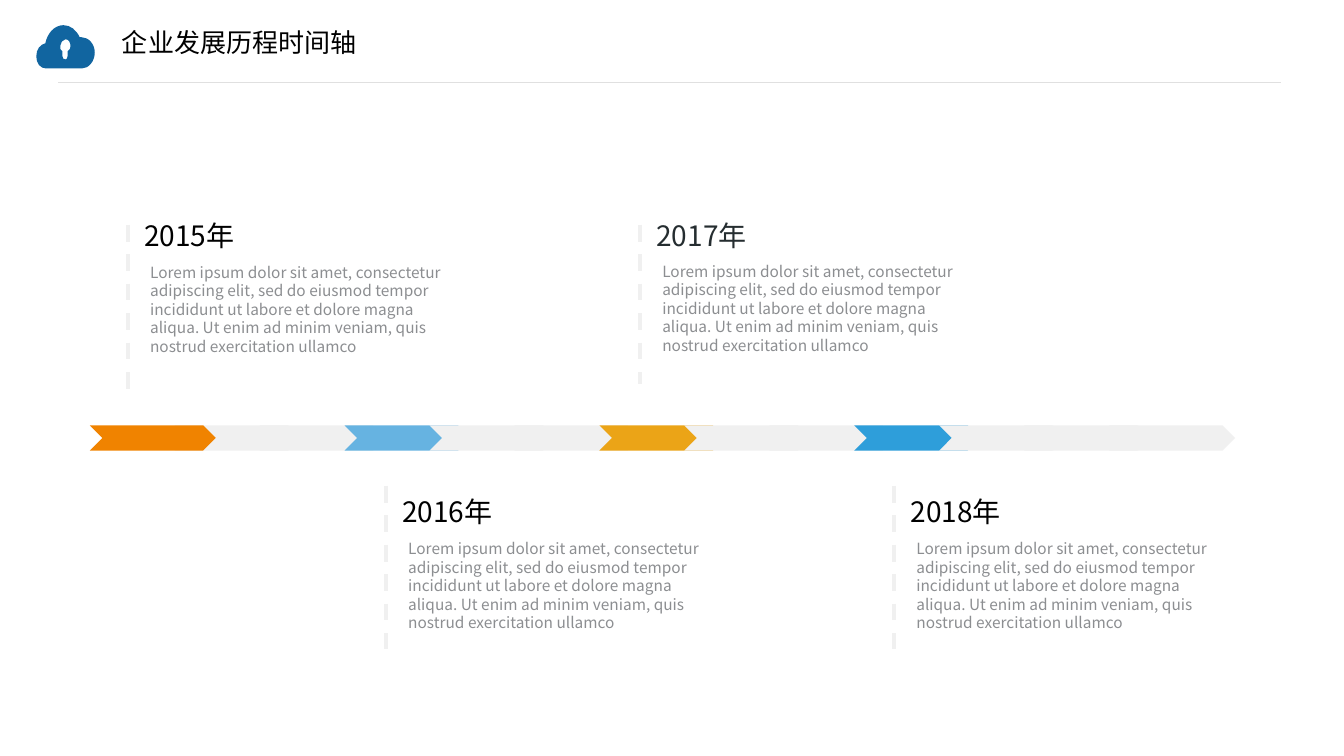
from pptx import Presentation
from pptx.dml.color import RGBColor
from pptx.enum.dml import MSO_LINE
from pptx.enum.shapes import MSO_CONNECTOR, MSO_SHAPE
from pptx.enum.text import MSO_ANCHOR, PP_ALIGN
from pptx.oxml.ns import qn
from pptx.util import Inches, Pt

STRAIGHT = MSO_CONNECTOR.STRAIGHT
CHEVRON = MSO_SHAPE.CHEVRON
DASH = MSO_LINE.DASH
MIDDLE, TOP = MSO_ANCHOR.MIDDLE, MSO_ANCHOR.TOP
LEFT = PP_ALIGN.LEFT

BLACK = RGBColor(0x00, 0x00, 0x00)
CHARCOAL = RGBColor(0x25, 0x2D, 0x30)
GREY = RGBColor(0x8C, 0x8E, 0x91)
RULE_GREY = RGBColor(0xE0, 0xE0, 0xE0)
PALE = RGBColor(0xF0, 0xF0, 0xF0)
NAVY = RGBColor(0x11, 0x65, 0xA0)
ORANGE = RGBColor(0xF0, 0x83, 0x00)
LIGHT_BLUE = RGBColor(0x66, 0xB3, 0xE1)
GOLD = RGBColor(0xEB, 0xA4, 0x17)
BLUE = RGBColor(0x2E, 0x9E, 0xDA)

FONT = "Noto Sans CJK SC"
LOREM = ("Lorem ipsum dolor sit amet, consectetur adipiscing elit, sed do eiusmod "
         "tempor incididunt ut labore et dolore magna aliqua. Ut enim ad minim "
         "veniam, quis nostrud exercitation ullamco")


def write_text(box, place, text, size, color, inset, anchor=TOP):
    """Place a text shape and fill it with one formatted paragraph."""
    box.left, box.top, box.width, box.height = map(Inches, place)
    frame = box.text_frame
    margins = zip(("margin_left", "margin_top", "margin_right", "margin_bottom"), inset)
    formats = {"word_wrap": True, "vertical_anchor": anchor}
    formats.update((name, Inches(value)) for name, value in margins)
    for name, value in formats.items():
        setattr(frame, name, value)
    para = frame.paragraphs[0]
    para.alignment = LEFT
    span = para.add_run()
    span.text = text
    span.font.name = FONT
    span.font.size = Pt(size)
    span.font.color.rgb = color
    east_asian = span.font._element.makeelement(qn("a:ea"), {"typeface": FONT})
    span.font._element.find(qn("a:latin")).addnext(east_asian)


def draw_line(start, end, color, width):
    line = page.shapes.add_connector(STRAIGHT, *map(Inches, start + end))
    line.line.color.rgb = color
    line.line.width = Pt(width)
    properties = line._element.spPr
    properties.append(properties.makeelement(qn("a:effectLst"), {}))
    return line


deck = Presentation()
deck.slide_width, deck.slide_height = Inches(13.33), Inches(7.5)
page = deck.slides.add_slide(deck.slide_layouts[5])

# Header
draw_line((0.58, 0.82), (12.71, 0.82), RULE_GREY, 0.75)
write_text(page.shapes.title, (1.21, 0.16, 8.89, 0.52), "企业发展历程时间轴",
           18.6, BLACK, (0, 0, 0, 0), MIDDLE)

# Cloud with a keyhole, in hundredths of an inch: a start point, then
# Bézier curves of three points or straight sides of one point.
cloud_start, cloud = (81, 37), [
    [(80, 37), (80, 37), (79, 37)],
    [(76, 30), (70, 25), (63, 25)],
    [(54, 25), (47, 33), (45, 43)],
    [(40, 44), (36, 49), (36, 56)],
    [(36, 63), (40, 68), (46, 68)],
    [(81, 68)],
    [(88, 68), (94, 61), (94, 52)],
    [(94, 44), (88, 37), (81, 37)]]
keyhole_start, keyhole = (67, 51), [
    [(67, 56)],
    [(67, 58), (66, 59), (65, 59)],
    [(63, 59), (62, 58), (62, 56)],
    [(62, 51)],
    [(60, 50), (59, 48), (60, 45)],
    [(60, 42), (62, 40), (65, 39)],
    [(68, 39), (70, 42), (70, 46)],
    [(70, 48), (69, 50), (67, 51)]]
builder = page.shapes.build_freeform(*cloud_start, scale=Inches(0.01))
builder.add_line_segments(sum(cloud, []), close=True)
builder.move_to(*keyhole_start)
builder.add_line_segments(sum(keyhole, []), close=True)
icon = builder.convert_to_shape()

# Gather each three points into one curve
sides = iter(list(icon._element.iter(qn("a:lnTo"))))
for curve in cloud + keyhole:
    parts = [next(sides) for point in curve]
    if len(parts) == 3:
        bezier = parts[0].makeelement(qn("a:cubicBezTo"), {})
        parts[0].addprevious(bezier)
        for part in parts:
            bezier.append(part[0])
            part.getparent().remove(part)
icon.shadow.inherit = False
icon.fill.solid()
icon.fill.fore_color.rgb = NAVY
icon.line.fill.background()

# Arrow band: the first chevron lies on top of the rest
CHEVRON_STEP = 10.11 / 12
accents = {0: ORANGE, 3: LIGHT_BLUE, 6: GOLD, 9: BLUE}
for index in [*range(1, 13), 0]:
    chevron = page.shapes.add_shape(CHEVRON, Inches(0.89 + index * CHEVRON_STEP),
                                    Inches(4.22), Inches(1.25), Inches(0.25))
    chevron.shadow.inherit = False
    chevron.fill.solid()
    chevron.fill.fore_color.rgb = accents.get(index, PALE)
    chevron.line.fill.background()

# Milestones: year, marker x, heading top, body top, marker top and bottom, colour
milestones = [
    ("2015年", 1.27, 2.14, 2.56, 2.23, 3.87, BLACK),
    ("2016年", 3.83, 4.88, 5.3, 4.82, 6.44, BLACK),
    ("2017年", 6.35, 2.14, 2.55, 2.23, 3.81, CHARCOAL),
    ("2018年", 8.87, 4.88, 5.3, 4.82, 6.44, BLACK),
]
for year, x, heading_top, body_top, line_top, line_bottom, color in milestones:
    for place, text, size, shade, inset in (
            ((x + 0.12, body_top, 3.09, 1.03), LOREM, 11, GREY, (0.1, 0.05, 0.1, 0.05)),
            ((x + 0.13, heading_top, 2.41, 0.39), year, 20, color, (0.03,) * 4)):
        box = page.shapes.add_textbox(0, 0, 0, 0)
        write_text(box, place, text, size, shade, inset)
    marker = draw_line((x, line_top), (x, line_bottom), PALE, 3)
    marker.line.dash_style = DASH

deck.save("out.pptx")
